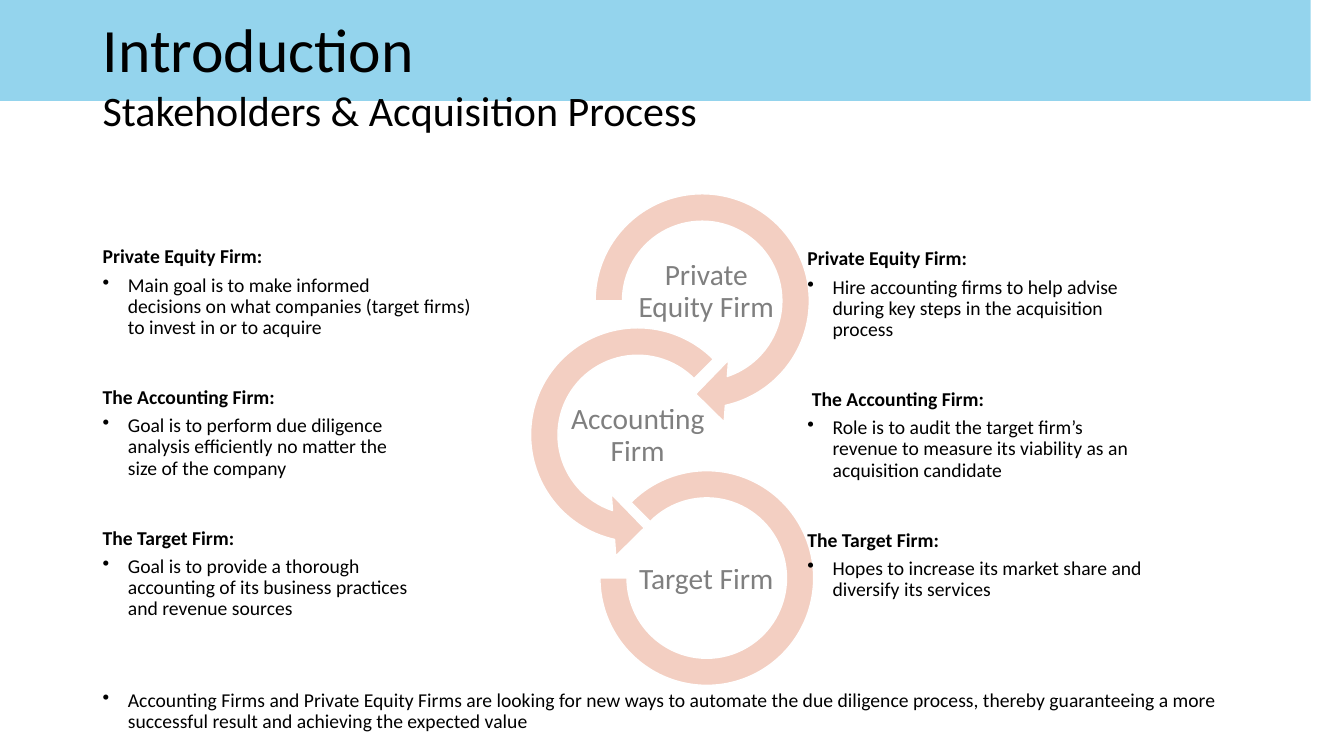
"""Build the introduction slide on stakeholders and the acquisition process."""
from lxml import etree
from pptx import Presentation
from pptx.dml.color import RGBColor
from pptx.enum import shapes, text
from pptx.oxml.ns import qn
from pptx.util import Inches, Pt


def paint(fill, color, opacity=100):
    """Give a fill a solid colour with an opacity in percent."""
    fill.solid()
    fill.fore_color.rgb = RGBColor.from_string(color)
    if opacity < 100:
        tint = fill._xPr.find(qn("a:solidFill"))[0]
        etree.SubElement(tint, qn("a:alpha")).set("val", str(opacity * 1000))


def write(paragraph, wording, size, before=0, bold=False, bullet=False, opacity=100):
    """Write one paragraph, line by line."""
    paragraph.line_spacing = 0.9
    paragraph.space_before = Pt(before)
    if bullet:
        props = paragraph._p.get_or_add_pPr()
        props.set("marL", str(Inches(0.25)))
        props.set("indent", str(Inches(-0.25)))
        etree.SubElement(props, qn("a:buChar")).set("char", "•")
    for number, line in enumerate(wording.split("\n")):
        if number:
            paragraph.add_line_break()
        run = paragraph.add_run()
        run.text = line
        run.font.name = "Calibri"
        run.font.size = Pt(size)
        run.font.bold = bold
        paint(run.font.fill, "000000", opacity)


deck = Presentation()
deck.slide_width, deck.slide_height = Inches(13.33), Inches(7.5)
slide = deck.slides.add_slide(deck.slide_layouts[5])

band_curves = [
    [(13.31, 0.94), (11.19, 1.25), (7.6, 1.45), (3.52, 1.45)],
    [(3.52, 1.45), (2.3, 1.45), (1.13, 1.43), (0.02, 1.4)],
]
band_edge = [(13.33, 0), (13.33, 0.94)]
for curve in band_curves:
    for step in range(31):
        t = step / 30
        weights = [(1 - t) ** 3, 3 * t * (1 - t) ** 2, 3 * t * t * (1 - t), t ** 3]
        band_edge.append(tuple(sum(w * point[axis] for w, point in zip(weights, curve))
                               for axis in (0, 1)))
band_edge.append((0, 1.4))
outline = slide.shapes.build_freeform(0, 0, scale=Inches(1))
outline.add_line_segments(band_edge, close=True)
band = outline.convert_to_shape()
band.shadow.inherit = False
paint(band.fill, "67C3E6", 70)
band.line.fill.background()
slide.shapes._spTree.insert(2, band._element)

title = slide.shapes.title
title.left, title.top, title.width, title.height = map(Inches, (0.92, 0.18, 11.5, 0.68))
title.text_frame.auto_size = text.MSO_AUTO_SIZE.NONE
title.text_frame.vertical_anchor = text.MSO_ANCHOR.MIDDLE
heading = title.text_frame.paragraphs[0]
heading.alignment = text.PP_ALIGN.LEFT
write(heading, "Introduction", 44)

stages = [
    ("Private Equity Firm", shapes.MSO_SHAPE.CIRCULAR_ARROW, (5.73, 1.75, 2.47, 2.47),
     (0.11, 11.423, 45, 108, 0.125), (6.32, 2.55)),
    ("Accounting Firm", shapes.MSO_SHAPE.LEFT_CIRCULAR_ARROW, (5.09, 3.08, 2.47, 2.47),
     (0.11, 11.423, 63, 189, 0.125), (5.64, 3.98)),
    ("Target Firm", shapes.MSO_SHAPE.BLOCK_ARC, (5.95, 4.67, 2.12, 2.13),
     (135, 108, 0.127), (6.32, 5.41)),
]
for firm, preset, place, settings, corner in stages:
    ring = slide.shapes.add_shape(preset, *map(Inches, place))
    for number, setting in enumerate(settings):
        ring.adjustments[number] = setting
    ring.shadow.inherit = False
    paint(ring.fill, "E8A087", 50)
    paint(ring.line.fill, "FFFFFF")
    ring.line.width = Pt(1)

    label = slide.shapes.add_textbox(*map(Inches, (*corner, 1.37, 0.69))).text_frame
    label.word_wrap = True
    label.vertical_anchor = text.MSO_ANCHOR.MIDDLE
    label.margin_left = label.margin_right = Inches(0.01)
    label.margin_top = label.margin_bottom = Inches(0.01)
    label.paragraphs[0].alignment = text.PP_ALIGN.CENTER
    write(label.paragraphs[0], firm, 21, opacity=50)

subtitle = slide.shapes.add_textbox(*map(Inches, (0.92, 0.85, 11.5, 0.51))).text_frame
subtitle.word_wrap = True
write(subtitle.paragraphs[0], "Stakeholders & Acquisition Process", 30)

columns = [
    (0.92, 0.79, [
        ("Private Equity Firm:",
         "Main goal is to make informed\ndecisions on what companies (target firms)\n"
         "to invest in or to acquire"),
        ("The Accounting Firm:",
         "Goal is to perform due diligence\nanalysis efficiently no matter the\n"
         "size of the company"),
        ("The Target Firm:",
         "Goal is to provide a thorough\naccounting of its business practices\n"
         "and revenue sources"),
    ]),
    (7.91, 0.81, [
        ("Private Equity Firm:",
         "Hire accounting firms to help advise\nduring key steps in the acquisition\nprocess"),
        (" The Accounting Firm:",
         "Role is to audit the target firm’s\nrevenue to measure its viability as an\n"
         "acquisition candidate"),
        ("The Target Firm:",
         "Hopes to increase its market share and\ndiversify its services"),
    ]),
]
for left, inset, roles in columns:
    column = slide.shapes.add_textbox(*map(Inches, (left, 1.66, 4.51, 5.14))).text_frame
    column.word_wrap = True
    column.margin_top = Inches(inset)
    for number, (firm, role) in enumerate(roles):
        firm_line = column.add_paragraph() if number else column.paragraphs[0]
        write(firm_line, firm, 14, before=35 if number else 0, bold=True)
        write(column.add_paragraph(), role, 14, before=5, bullet=True)

outlook = slide.shapes.add_textbox(*map(Inches, (0.92, 6.8, 11.5, 0.57))).text_frame
outlook.word_wrap = True
write(outlook.paragraphs[0],
      "Accounting Firms and Private Equity Firms are looking for new ways to automate the "
      "due diligence process, thereby guaranteeing a more successful result and achieving "
      "the expected value", 14, bullet=True)

deck.save("out.pptx")
